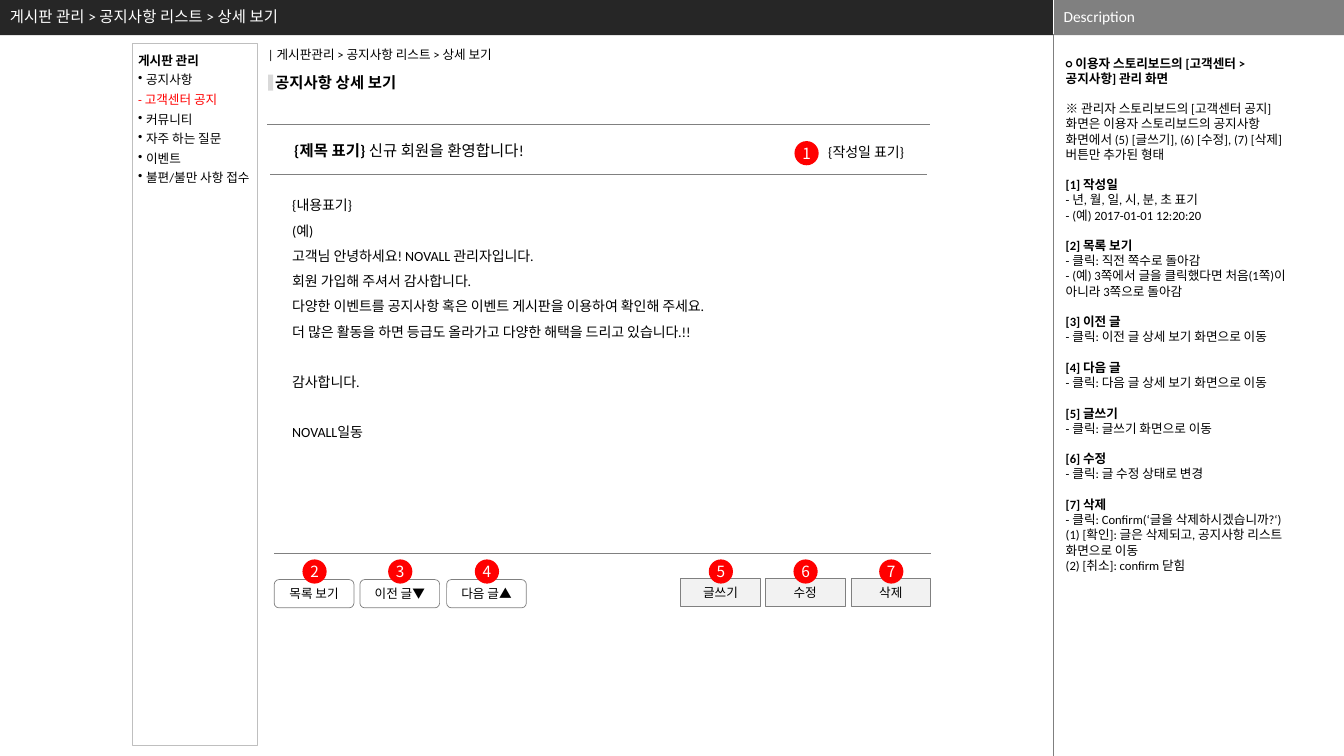
from dataclasses import dataclass

from lxml.etree import SubElement
from pptx import Presentation
from pptx.dml.color import RGBColor
from pptx.enum.shapes import MSO_CONNECTOR, MSO_SHAPE
from pptx.enum.text import MSO_ANCHOR, PP_ALIGN
from pptx.oxml.ns import qn
from pptx.util import Emu, Pt


@dataclass(frozen=True)
class Theme:
    font: str = "Calibri"
    badge_font: str = "Noto Sans CJK KR"
    small: int = 9
    body: int = 10
    title: int = 11
    black: str = "000000"
    white: str = "FFFFFF"
    red: str = "FF0000"
    header: str = "262626"
    gray: str = "808080"
    divider: str = "7F7F7F"
    border: str = "BFBFBF"
    marker: str = "D9D9D9"
    button: str = "F2F2F2"


THEME = Theme()
EMU_PER_PX = 9144
TEXT_INSETS = (10, 5, 10, 5)
BREADCRUMB = "게시판 관리 > 공지사항 리스트 > 상세 보기"

MENU = ["공지사항", "- 고객센터 공지", "커뮤니티", "자주 하는 질문", "이벤트", "불편/불만 사항 접수"]

NOTICE_BLOCKS = [
    ["{내용표기}", "(예)", "고객님 안녕하세요! NOVALL 관리자입니다.",
     "회원 가입해 주셔서 감사합니다.",
     "다양한 이벤트를 공지사항 혹은 이벤트 게시판을 이용하여 확인해 주세요.",
     "더 많은 활동을 하면 등급도 올라가고 다양한 해택을 드리고 있습니다.!!"],
    ["감사합니다."],
    ["NOVALL일동"],
]

# Each block is a bold heading and the lines below it.
DESCRIPTION = [
    ("○ 이용자 스토리보드의 [고객센터 > 공지사항] 관리 화면", []),
    ("", ["※ 관리자 스토리보드의 [고객센터 공지] 화면은 이용자 스토리보드의 공지사항 "
          "화면에서 (5) [글쓰기], (6) [수정], (7) [삭제] 버튼만 추가된 형태"]),
    ("[1] 작성일", ["- 년, 월, 일, 시, 분, 초 표기", "- (예) 2017-01-01 12:20:20"]),
    ("[2] 목록 보기", ["- 클릭: 직전 쪽수로 돌아감",
                    "- (예) 3쪽에서 글을 클릭했다면 처음(1쪽)이 아니라 3쪽으로 돌아감"]),
    ("[3] 이전 글", ["- 클릭: 이전 글 상세 보기 화면으로 이동"]),
    ("[4] 다음 글", ["- 클릭: 다음 글 상세 보기 화면으로 이동"]),
    ("[5] 글쓰기", ["- 클릭: 글쓰기 화면으로 이동"]),
    ("[6] 수정", ["- 클릭: 글 수정 상태로 변경"]),
    ("[7] 삭제", ["- 클릭: Confirm(‘글을 삭제하시겠습니까?‘)",
                "(1) [확인]: 글은 삭제되고, 공지사항 리스트 화면으로 이동",
                "(2) [취소]: confirm 닫힘"]),
]


def px(length):
    return Emu(length * EMU_PER_PX)


def rgb(color):
    return RGBColor.from_string(color)


def style(paragraph, size, color=THEME.black, bold=False, font=THEME.font,
          align=PP_ALIGN.LEFT, spacing=None, before=0):
    paragraph.alignment = align
    paragraph.line_spacing = spacing
    paragraph.space_before = Pt(before)
    face = paragraph.font
    face.size, face.bold, face.name = Pt(size), bold, font
    face.color.rgb = rgb(color)
    latin = paragraph._p.pPr.find(qn("a:defRPr")).find(qn("a:latin"))
    east_asian = latin.makeelement(qn("a:ea"), {"typeface": font})
    latin.addnext(east_asian)


def write(frame, text, size, **options):
    """Fill the empty first paragraph, or append another one."""
    paragraph = frame.paragraphs[0]
    if paragraph.runs:
        paragraph = frame.add_paragraph()
    paragraph.add_run().text = text
    style(paragraph, size, **options)
    return paragraph


def set_frame(frame, insets=TEXT_INSETS, wrap=True, anchor=MSO_ANCHOR.TOP):
    (frame.margin_left, frame.margin_top,
     frame.margin_right, frame.margin_bottom) = map(px, insets)
    frame.word_wrap = wrap
    frame.vertical_anchor = anchor
    return frame


def add_text(slide, box, **options):
    return set_frame(slide.shapes.add_textbox(*map(px, box)).text_frame, **options)


def add_block(slide, kind, box, fill=None, line=None, weight=0.5):
    block = slide.shapes.add_shape(kind, *map(px, box))
    block.shadow.inherit = False
    if fill:
        block.fill.solid()
        block.fill.fore_color.rgb = rgb(fill)
    else:
        block.fill.background()
    if line:
        block.line.color.rgb = rgb(line)
        block.line.width = Pt(weight)
    else:
        block.line.fill.background()
    return block


def add_rule(slide, start, end, color=THEME.gray, weight=0.5):
    rule = slide.shapes.add_connector(MSO_CONNECTOR.STRAIGHT, *map(px, start + end))
    rule.line.color.rgb = rgb(color)
    rule.line.width = Pt(weight)
    SubElement(rule._element.spPr, qn("a:effectLst"))


def add_badge(slide, left, top, number):
    badge = add_block(slide, MSO_SHAPE.OVAL, (left, top, 24, 24), THEME.red)
    frame = set_frame(badge.text_frame, (0, 0, 0, 0), False, MSO_ANCHOR.MIDDLE)
    write(frame, str(number), THEME.title, color=THEME.white,
          font=THEME.badge_font, align=PP_ALIGN.CENTER)


def add_buttons(slide, kind, left, top, double_step, labels, first_number, fill=None):
    """Place a row of numbered buttons; double_step spans two buttons."""
    for index, label in enumerate(labels):
        x = left + index * double_step // 2
        button = add_block(slide, kind, (x, top, 79, 28), fill, THEME.gray)
        frame = set_frame(button.text_frame, (4, 4, 4, 4), False, MSO_ANCHOR.MIDDLE)
        write(frame, label, THEME.small, align=PP_ALIGN.CENTER)
        add_badge(slide, x + 28, 555, first_number + index)


def add_header(slide):
    add_block(slide, MSO_SHAPE.RECTANGLE, (0, 0, 1045, 35), THEME.header)
    add_block(slide, MSO_SHAPE.RECTANGLE, (1045, 0, 289, 35), THEME.gray)
    add_rule(slide, (1045, 0), (1045, 35), THEME.white, 0.25)
    add_rule(slide, (1045, 34), (1045, 750), THEME.divider, 0.25)
    for box, text, spacing in (((0, 0, 1016, 35), BREADCRUMB, 0.9),
                               ((1045, -1, 289, 35), "Description", None)):
        frame = add_text(slide, box, anchor=MSO_ANCHOR.MIDDLE)
        write(frame, text, THEME.title, color=THEME.white, spacing=spacing)


def add_description(slide):
    frame = add_text(slide, (1053, 55, 234, 700), insets=(4, 0, 4, 0))
    for block_index, (heading, lines) in enumerate(DESCRIPTION):
        entries = [(heading, True)] if heading else []
        entries += [(line, False) for line in lines]
        for index, (text, bold) in enumerate(entries):
            gap = 11 if block_index and index == 0 else 0
            write(frame, text, THEME.small, bold=bold, before=gap)


def add_menu(slide):
    panel = add_block(slide, MSO_SHAPE.RECTANGLE, (131, 43, 124, 697),
                      line=THEME.border, weight=0.75)
    frame = set_frame(panel.text_frame, (6, 5, 0, 5), False)
    write(frame, "게시판 관리", THEME.small, bold=True, spacing=Pt(14))
    for item in MENU:
        selected = item.startswith("-")
        paragraph = frame.add_paragraph()
        paragraph.add_run().text = item
        if not selected:
            properties = paragraph._p.get_or_add_pPr()
            properties.set("marL", str(px(8)))
            properties.set("indent", str(px(-8)))
            SubElement(properties, qn("a:buChar"), char="•")
        style(paragraph, THEME.small, THEME.red if selected else THEME.black,
              spacing=Pt(14))


def add_notice(slide):
    write(add_text(slide, (256, 42, 300, 25)),
          "| 게시판관리 > 공지사항 리스트 > 상세 보기", THEME.small)
    write(add_text(slide, (273, 73, 160, 19), insets=(0, 0, 0, 0)),
          "공지사항 상세 보기", THEME.title, bold=True)
    add_block(slide, MSO_SHAPE.RECTANGLE, (266, 74, 5, 16), THEME.marker)
    for left, right, y in ((265, 922, 123), (268, 919, 173), (272, 923, 549)):
        add_rule(slide, (left, y), (right, y))

    subject = write(add_text(slide, (282, 135, 300, 28)), "{제목 표기} ", THEME.title)
    subject.runs[0].font.bold = True
    subject.add_run().text = "신규 회원을 환영합니다!"
    write(add_text(slide, (807, 137, 104, 27), wrap=False),
          "{작성일 표기}", THEME.body, align=PP_ALIGN.CENTER)
    add_badge(slide, 788, 140, 1)

    content = add_text(slide, (280, 182, 626, 260))
    for block_index, lines in enumerate(NOTICE_BLOCKS):
        for index, line in enumerate(lines):
            gap = 18 if block_index and index == 0 else 0
            write(content, line, THEME.body, spacing=1.5, before=gap)


def main():
    deck = Presentation()
    deck.slide_width, deck.slide_height = px(1333), px(750)
    slide = deck.slides.add_slide(deck.slide_layouts[6])
    add_header(slide)
    add_description(slide)
    add_menu(slide)
    add_notice(slide)
    add_buttons(slide, MSO_SHAPE.ROUNDED_RECTANGLE, 272, 575, 171,
                ["목록 보기", "이전 글▼", "다음 글▲"], 2)
    add_buttons(slide, MSO_SHAPE.RECTANGLE, 675, 574, 169,
                ["글쓰기", "수정", "삭제"], 5, THEME.button)
    deck.save("out.pptx")


if __name__ == "__main__":
    main()
